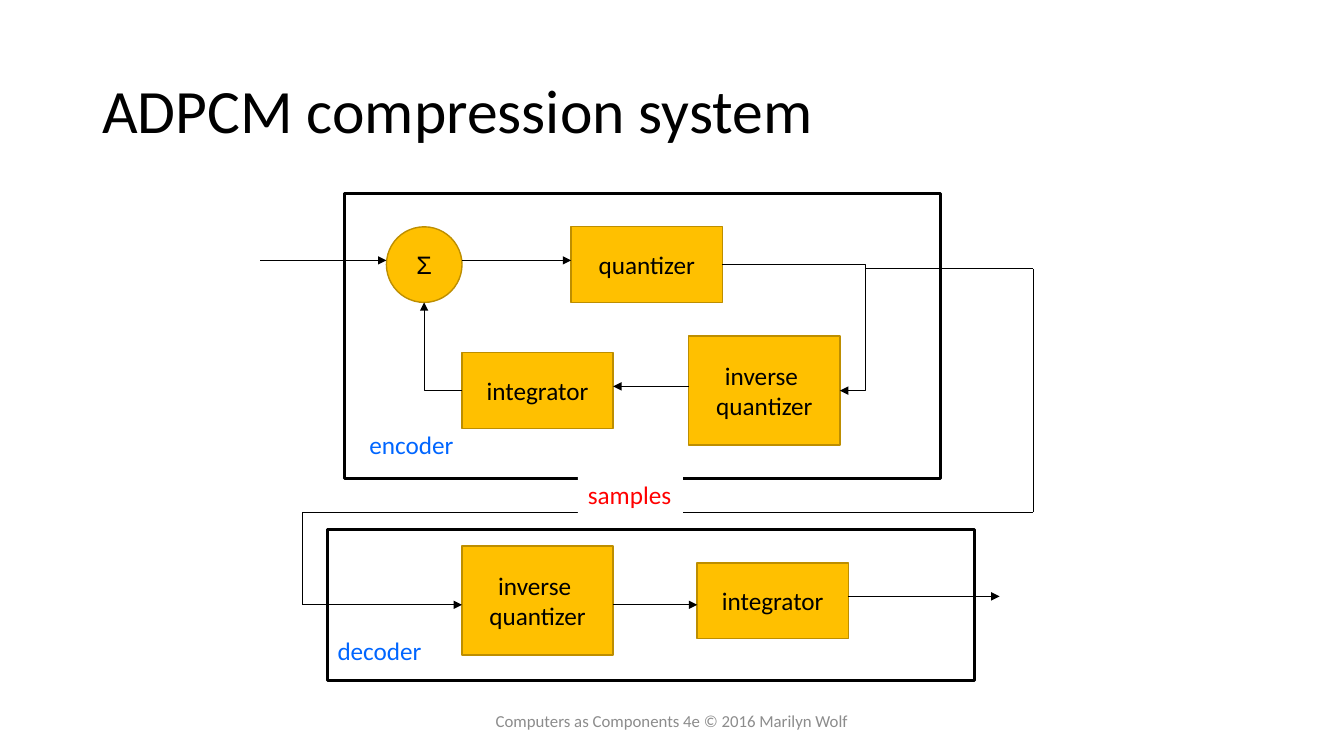
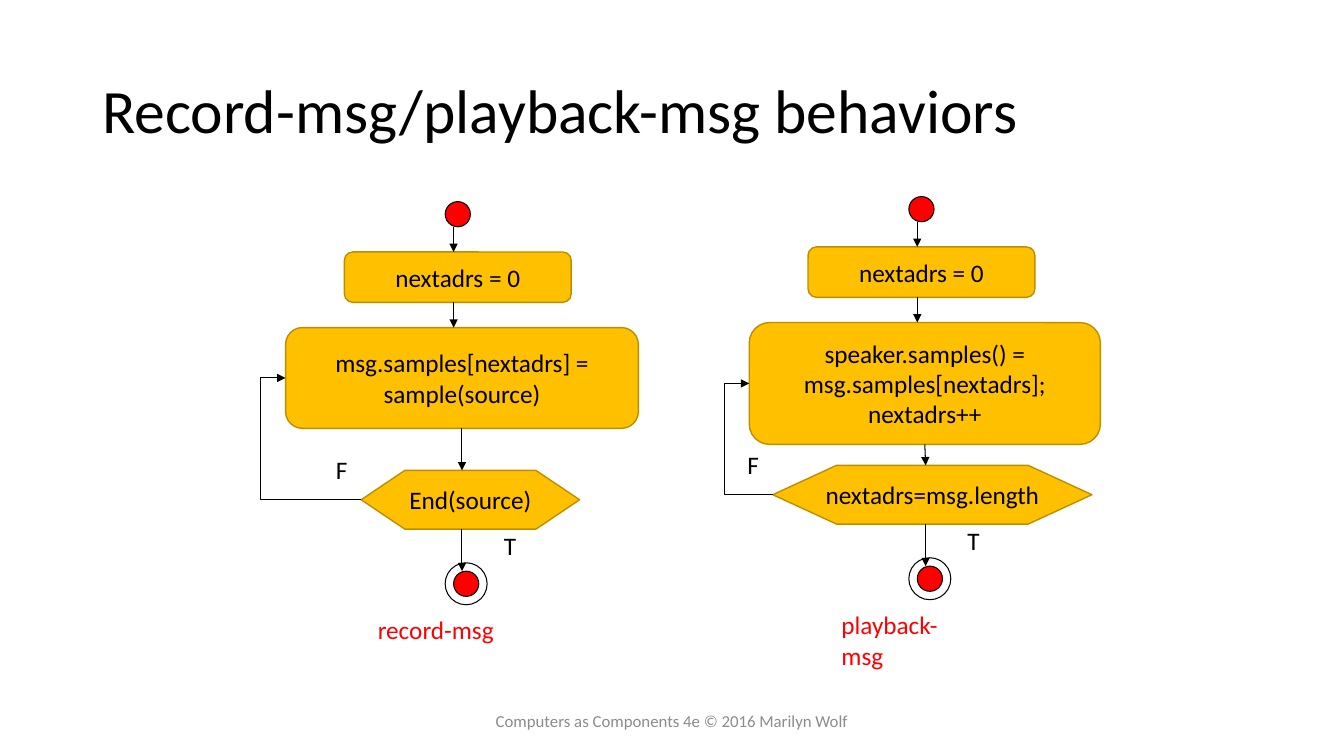
from lxml import etree
from pptx import Presentation
from pptx import util as u
from pptx.dml import color
from pptx.enum import shapes, text
from pptx.oxml import ns

COLS, ROWS = 160, 90
INK, GOLD, EDGE = "000000", "FFC000", "BD8E00"
RED, BLUE, GREY, WHITE = "FF0000", "0066FF", "8C8C8C", "FFFFFF"
KIND, LINK = shapes.MSO_SHAPE, shapes.MSO_CONNECTOR
TOP, LEFT, BOTTOM, RIGHT = range(4)


def unit(n):
    """Turn grid units (twelfths of an inch) into a length."""
    return u.Inches(n / 12)


def rgb(code):
    """Turn a hex string into a colour."""
    return color.RGBColor.from_string(code)


def write(shape, words, size=18, font="Calibri", ink=INK, align="LEFT",
          anchor="TOP", wrap=False, grow=False, lead=None):
    """Fill a shape with one paragraph per line of words."""
    frame = shape.text_frame
    frame.word_wrap = wrap
    frame.vertical_anchor = getattr(text.MSO_ANCHOR, anchor)
    if grow:
        frame.auto_size = text.MSO_AUTO_SIZE.SHAPE_TO_FIT_TEXT
    for i, line in enumerate(words.split("\n")):
        para = frame.add_paragraph() if i else frame.paragraphs[0]
        para.alignment = getattr(text.PP_ALIGN, align)
        if lead:
            para.line_spacing = lead
        run = para.add_run()
        run.text = line
        run.font.size, run.font.name = u.Pt(size), font
        run.font.color.rgb = rgb(ink)


def label(slide, words, x, y, w, h=4.8, fill=None, **form):
    """Place a text box on the grid."""
    box = slide.shapes.add_textbox(*map(unit, (x, y, w, h)))
    if fill:
        box.fill.solid()
        box.fill.fore_color.rgb = rgb(fill)
    write(box, words, **form)


def block(slide, kind, x, y, w, h, fill=None, edge=INK, width=0.75):
    """Place a plain preset shape on the grid."""
    shape = slide.shapes.add_shape(kind, *map(unit, (x, y, w, h)))
    shape.shadow.inherit = False
    if fill:
        shape.fill.solid()
        shape.fill.fore_color.rgb = rgb(fill)
    else:
        shape.fill.background()
    shape.line.color.rgb = rgb(edge)
    shape.line.width = u.Pt(width)
    return shape


def node(slide, words, x, y, w=18, h=9, kind=KIND.RECTANGLE, font="Calibri"):
    """Place a golden shape with centred words."""
    shape = block(slide, kind, x, y, w, h, GOLD, EDGE, 1)
    write(shape, words, font=font, align="CENTER", anchor="MIDDLE")
    return shape


def style(link, head=True):
    """Give a connector its thin line and arrowhead."""
    link.line.color.rgb = rgb(INK)
    link.line.width = u.Pt(0.75)
    if head:
        line = link.line._get_or_add_ln()
        etree.SubElement(line, ns.qn("a:tailEnd"), type="triangle")
    etree.SubElement(link._element.spPr, ns.qn("a:effectLst"))


def wire(slide, x, y, right, low, head=True):
    """Draw a straight line between two grid points."""
    link = slide.shapes.add_connector(
        LINK.STRAIGHT, *map(unit, (x, y, right, low)))
    style(link, head)
    return link


def bend(slide, start, out, end, into, reach=3):
    """Join two shapes by an elbow that reaches past the end."""
    link = slide.shapes.add_connector(LINK.ELBOW, 0, 0, 0, 0)
    link.begin_connect(start, out)
    link.end_connect(end, into)
    geom = link._element.spPr.find(ns.qn("a:prstGeom"))
    if into == BOTTOM:
        geom.set("prst", "bentConnector2")
    else:
        share = 1 + unit(reach) / abs(link.end_x - link.begin_x)
        etree.SubElement(geom.find(ns.qn("a:avLst")), ns.qn("a:gd"),
                         name="adj1", fmla=f"val {round(share * 100000)}")
    style(link)
    return link


def page(deck, title):
    """Add a slide with its title and footer."""
    slide = deck.slides.add_slide(deck.slide_layouts[6])
    label(slide, title, 11, 4.8, 138, 17.4, size=44, anchor="MIDDLE",
          wrap=True, lead=0.9)
    label(slide, "Computers as Components 4e © 2016 Marilyn Wolf",
          53, 83.4, 54, size=12, ink=GREY, align="CENTER", anchor="MIDDLE",
          wrap=True)
    return slide


def encode(slide, x, y, w, h):
    """Draw the encoder loop inside its frame."""
    block(slide, KIND.RECTANGLE, x, y, w, h, width=2.25)
    total = node(slide, "Σ", x + 5, y + 4, w=9, kind=KIND.OVAL, font="Arial")
    quant = node(slide, "quantizer", x + 27, y + 4)
    integ = node(slide, "integrator", x + 14, y + 19)
    inverse = node(slide, "inverse \nquantizer", x + 41, y + 17, h=13)
    for start, end, row in ((-10, 5, 8), (14, 27, 8), (41, 32, 23)):
        wire(slide, x + start, y + row, x + end, y + row)
    bend(slide, quant, RIGHT, inverse, RIGHT)
    back = bend(slide, integ, LEFT, total, BOTTOM)
    oval_low = "4"
    back._element.nvCxnSpPr.cNvCxnSpPr.endCxn.set("idx", oval_low)
    label(slide, "encoder", x + 1.8, y + 27.5, 12.6, ink=BLUE, grow=True)


def decode(slide, x, y, w, h):
    """Draw the decoder chain inside its frame."""
    block(slide, KIND.RECTANGLE, x, y, w, h, width=2.25)
    node(slide, "inverse \nquantizer", x + 16, y + 2, h=13)
    node(slide, "integrator", x + 44, y + 4)
    wire(slide, x + 34, y + 9, x + 44, y + 9)
    wire(slide, x + 62, y + 8, x + 80, y + 8)
    label(slide, "decoder", x, y + 12, 12.6, ink=BLUE, grow=True)


def route(slide, points):
    """Draw a chain of lines that ends in an arrow."""
    last = len(points) - 2
    for i, (start, end) in enumerate(zip(points, points[1:])):
        wire(slide, *start, *end, head=i == last)


def flow(slide, x, y, name, body, test, size, gap, width):
    """Draw one activity diagram from its top left corner."""
    w, h = size
    block(slide, KIND.OVAL, x + 19, y, 3, 3, RED)
    node(slide, "nextadrs = 0", x + 7, y + 6, 27, 6, KIND.ROUNDED_RECTANGLE)
    work = node(slide, body, x, y + 15, w, h, KIND.ROUNDED_RECTANGLE)
    check = node(slide, test, x + gap, y + 32, width, 7,
                 KIND.FLOWCHART_PREPARATION)
    block(slide, KIND.OVAL, x + 20, y + 44, 3, 3, RED)
    block(slide, KIND.OVAL, x + 19, y + 43, 5, 5)
    for col, start, end in ((20, 3, 6), (20, 12, 15), (21, 39, 44)):
        wire(slide, x + col, y + start, x + col, y + end)
    down = wire(slide, x + w / 2, y + 15 + h, x + 21, y + 32)
    down.begin_connect(work, BOTTOM)
    bend(slide, check, LEFT, work, LEFT)
    label(slide, "F", x + gap - 4.2, y + 29.5, 3.8, grow=True)
    label(slide, "T", x + 24.8, y + 38.5, 3.8, grow=True)
    label(slide, name, x + 9.8, y + 48.6, 17, ink=RED, grow=True)


def main():
    """Build and save both slides."""
    deck = Presentation()
    deck.slide_width, deck.slide_height = unit(COLS), unit(ROWS)

    slide = page(deck, "ADPCM compression system")
    encode(slide, 41, 23, 71, 34)
    decode(slide, 39, 63, 77, 18)
    route(slide, [(103, 32), (123, 32), (123, 61), (36, 61), (36, 72),
                  (55, 72)])
    label(slide, "samples", 68.8, 56.5, 12.5, fill=WHITE, ink=RED, grow=True)

    slide = page(deck, "Record-msg/playback-msg behaviors")
    flow(slide, 34, 24, "record-msg",
         "msg.samples[nextadrs] =\nsample(source)", "End(source)",
         size=(42, 12), gap=9, width=26)
    flow(slide, 89.2, 23.4, "playback-msg",
         "speaker.samples() =\nmsg.samples[nextadrs];\nnextadrs++",
         "nextadrs=msg.length", size=(41.8, 14.5), gap=2.8, width=38)
    deck.save("out.pptx")


if __name__ == "__main__":
    main()
